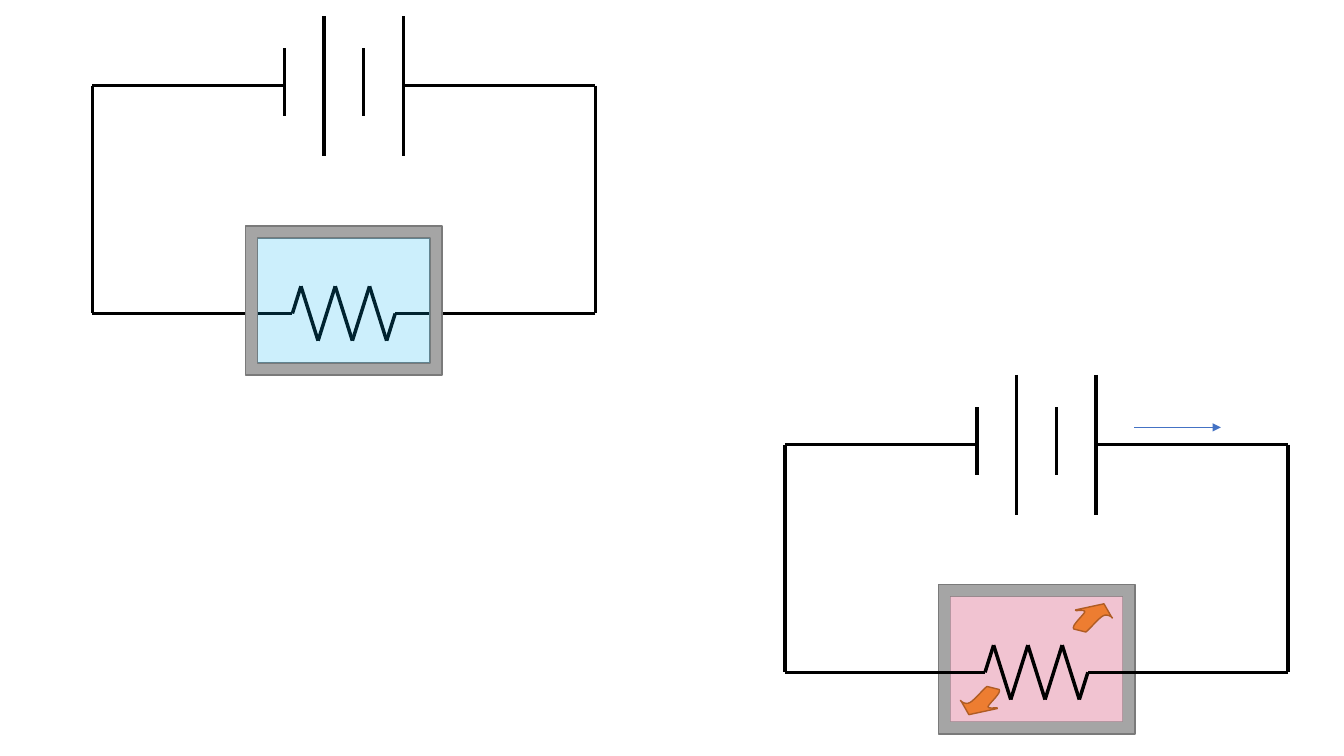
from itertools import pairwise

from lxml import etree
from pptx import Presentation
from pptx.dml.color import RGBColor
from pptx.enum.shapes import MSO_CONNECTOR
from pptx.oxml.ns import qn
from pptx.util import Inches, Pt

STRAIGHT = MSO_CONNECTOR.STRAIGHT
SLIDE_WIDTH, SLIDE_HEIGHT = 13.33, 7.5
LOOP_WIDTH, LOOP_HEIGHT = 4.99, 2.26
BATTERY_WIDTH, PLATES = 1.18, 4
LONG_PLATE, SHORT_PLATE = (-0.69, 0.70), (-0.37, 0.30)
ZIGZAG_STEP, ZIGZAG_HEIGHT, PEAKS = 0.17, 0.27, 6
BOX_WIDTH, BOX_HEIGHT, BOX_WALL, BOX_CENTRE = 1.95, 1.48, 0.12, 2.13
CURVE_STEPS = 8
HEAT_START = (0.39, -0.49)
HEAT_EDGES = [
    [(0.37, -0.47), (0.48, -0.50), (0.48, -0.47)],
    [(0.47, -0.44), (0.34, -0.33), (0.37, -0.30)],
    [(0.49, -0.27)],
    [(0.52, -0.29), (0.62, -0.41), (0.66, -0.43)],
    [(0.71, -0.46), (0.77, -0.40), (0.75, -0.41)],
    [(0.67, -0.55)],
]


def colour(hex_code):
    """Turn a hex string into a colour."""
    return RGBColor.from_string(hex_code)


def place(origin, point):
    """Move a point given in inches from an origin onto the slide."""
    return tuple(Inches(base + offset) for base, offset in zip(origin, point))


def add_wire(group, origin, start, end, stroke="000000", width=2.5, arrow=False):
    """Draw a straight line between two points around an origin."""
    wire = group.shapes.add_connector(
        STRAIGHT, *place(origin, start), *place(origin, end))
    wire.line.color.rgb = colour(stroke)
    wire.line.width = Pt(width)
    if arrow:
        outline = wire.line._get_or_add_ln()
        etree.SubElement(outline, qn("a:tailEnd"), type="triangle")
    etree.SubElement(wire._element.spPr, qn("a:effectLst"))


def add_outline(group, origin, contours, fill, stroke=None, opacity=100):
    """Draw a closed shape made of one or more contours."""
    placed = [[place(origin, point) for point in contour] for contour in contours]
    builder = group.shapes.build_freeform(*placed[0][0])
    builder.add_line_segments(placed[0][1:], close=True)
    for contour in placed[1:]:
        builder.move_to(*contour[0])
        builder.add_line_segments(contour[1:], close=True)
    shape = builder.convert_to_shape()
    shape.shadow.inherit = False
    shape.fill.solid()
    shape.fill.fore_color.rgb = colour(fill)
    if opacity < 100:
        tone = shape._element.spPr.find(qn("a:solidFill"))[0]
        etree.SubElement(tone, qn("a:alpha"), val=str(opacity * 1000))
    if stroke:
        shape.line.color.rgb = colour(stroke)
        shape.line.width = Pt(1)
    else:
        shape.line.fill.background()


def rectangle(width, height):
    """Return the corners of a centred rectangle, clockwise."""
    x, y = width / 2, height / 2
    return [(-x, -y), (x, -y), (x, y), (-x, y)]


def bezier(start, controls):
    """Return points along a cubic curve, without its start."""
    knots = [start, *controls]
    points = []
    for step in range(1, CURVE_STEPS + 1):
        t = step / CURVE_STEPS
        weights = ((1 - t) ** 3, 3 * t * (1 - t) ** 2, 3 * t * t * (1 - t), t ** 3)
        points.append(tuple(
            sum(weight * knot[axis] for weight, knot in zip(weights, knots))
            for axis in (0, 1)))
    return points


def add_loop(group, origin):
    """Draw the battery, the wires and the resistor of one circuit."""
    battery, side = BATTERY_WIDTH / 2, LOOP_WIDTH / 2
    for index in range(PLATES):
        x = -battery + index * BATTERY_WIDTH / (PLATES - 1)
        top, bottom = LONG_PLATE if index % 2 else SHORT_PLATE
        add_wire(group, origin, (x, top), (x, bottom))

    resistor = ZIGZAG_STEP * PEAKS / 2
    for sign in (-1, 1):
        add_wire(group, origin, (sign * side, 0), (sign * battery, 0))
        add_wire(group, origin, (sign * side, 0), (sign * side, LOOP_HEIGHT))
        add_wire(group, origin, (sign * side, LOOP_HEIGHT),
                 (sign * resistor, LOOP_HEIGHT))

    peaks = [(ZIGZAG_STEP * (index + 0.5) - resistor,
              LOOP_HEIGHT - ZIGZAG_HEIGHT * (-1) ** index)
             for index in range(PEAKS)]
    zigzag = [(-resistor, LOOP_HEIGHT), *peaks, (resistor, LOOP_HEIGHT)]
    for start, end in pairwise(zigzag):
        add_wire(group, origin, start, end)


def add_box(group, origin, tint, opacity):
    """Draw the grey container and its tinted content."""
    centre = (origin[0], origin[1] + BOX_CENTRE)
    inside = rectangle(BOX_WIDTH - 2 * BOX_WALL, BOX_HEIGHT - 2 * BOX_WALL)
    add_outline(group, centre, [rectangle(BOX_WIDTH, BOX_HEIGHT), inside[::-1]],
                "A5A5A5", stroke="7A7A7A")
    add_outline(group, centre, [inside], tint, opacity=opacity)


def add_heat_arrows(group, origin):
    """Draw the two opposite arrows that leave the heated container."""
    outline = [HEAT_START]
    for edge in HEAT_EDGES:
        outline += bezier(outline[-1], edge) if len(edge) == 3 else edge
    centre = (origin[0], origin[1] + BOX_CENTRE)
    for sign in (1, -1):
        turned = [(sign * x, sign * y) for x, y in outline]
        add_outline(group, centre, [turned], "ED7D31", stroke="AF5C24")


def main():
    """Build the slide with the cold and the heated circuit."""
    deck = Presentation()
    deck.slide_width, deck.slide_height = Inches(SLIDE_WIDTH), Inches(SLIDE_HEIGHT)
    slide = deck.slides.add_slide(deck.slide_layouts[6])

    cold, cold_origin = slide.shapes.add_group_shape(), (3.41, 0.85)
    add_loop(cold, cold_origin)
    add_box(cold, cold_origin, "00B0F0", 20)

    heated, heated_origin = slide.shapes.add_group_shape(), (10.28, 4.41)
    add_box(heated, heated_origin, "EEB4C6", 80)
    add_loop(heated, heated_origin)
    add_wire(heated, heated_origin, (0.97, -0.17), (1.83, -0.17),
             stroke="4472C4", width=0.5, arrow=True)
    add_heat_arrows(heated, heated_origin)

    deck.save("out.pptx")


if __name__ == "__main__":
    main()
